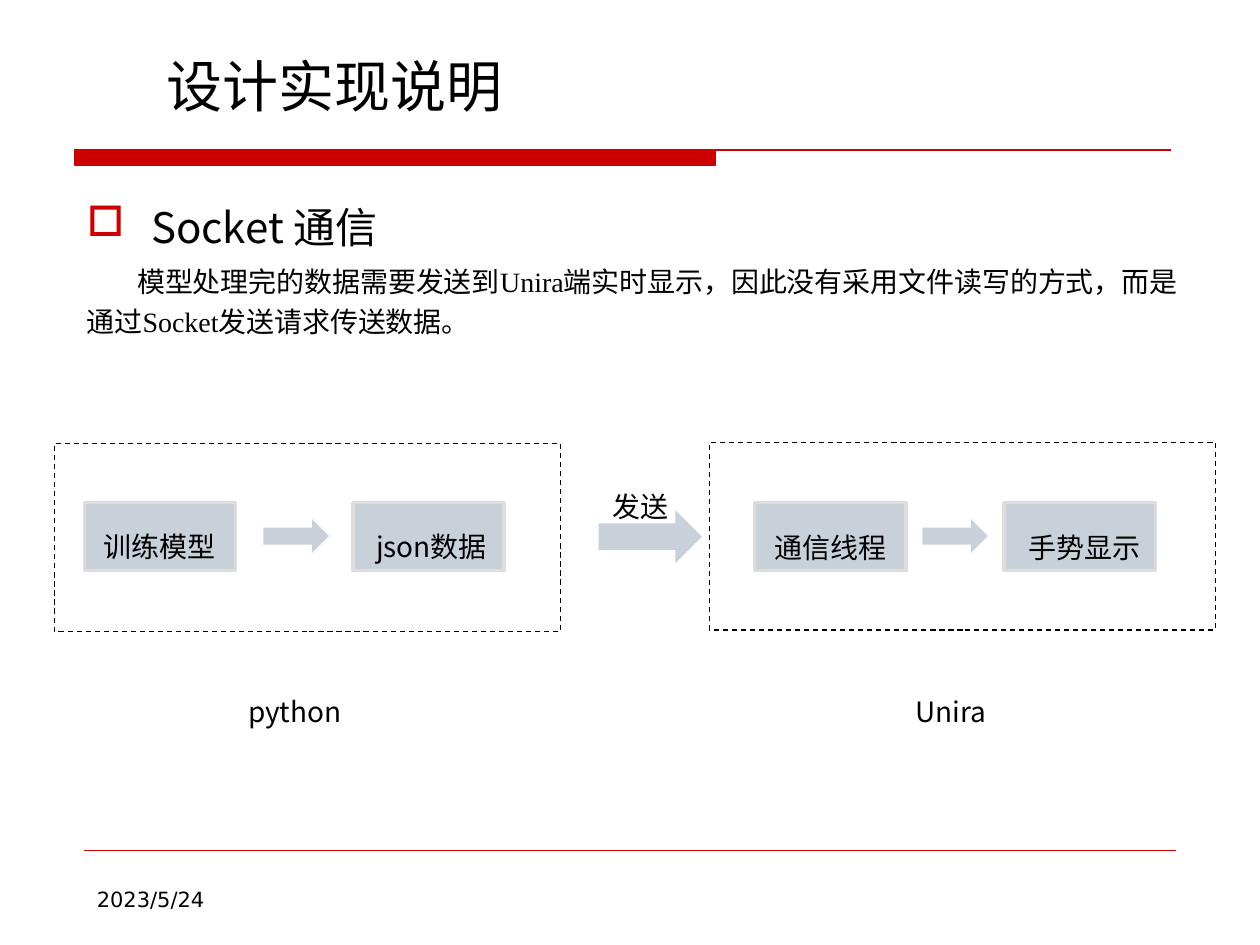
import pptx
import pptx.dml.color
import pptx.enum.dml
import pptx.enum.shapes
import pptx.enum.text
import pptx.oxml
import pptx.oxml.ns
import pptx.util
from pptx.util import Inches

COLORS = {"red": "CC0000", "text": "000000", "node": "C8D1DA", "edge": "DDDDDD"}
SANS, SERIF, PLAIN = "Noto Sans CJK SC", "Times New Roman", "DejaVu Sans"
SHAPES = pptx.enum.shapes.MSO_SHAPE
CENTER = pptx.enum.text.PP_ALIGN.CENTER


def color(name):
    return pptx.dml.color.RGBColor.from_string(COLORS[name])


def add_element(parent, tag, **attributes):
    element = pptx.oxml.parse_xml(f"<{tag} {pptx.oxml.ns.nsdecls('a')}/>")
    for name, value in attributes.items():
        element.set(name, value)
    parent.append(element)
    return element


def style_paragraph(para, size, font, spacing=None, align=None):
    para.alignment = align
    para.line_spacing = spacing
    for span in para.runs:
        span.font.size = pptx.util.Pt(size)
        span.font.name = font
        span.font.color.rgb = color("text")


def add_text(slide, place, text, size=16, font=SANS, spacing=None, align=None):
    box = slide.shapes.add_textbox(*map(Inches, place))
    box.text_frame.word_wrap = True
    box.text_frame.text = text
    style_paragraph(box.text_frame.paragraphs[0], size, font, spacing, align)
    return box


def style_shape(shape, fill=None, line=None, width=0.75):
    shape.shadow.inherit = False
    if fill:
        shape.fill.solid()
        shape.fill.fore_color.rgb = color(fill)
    else:
        shape.fill.background()
    if line:
        shape.line.color.rgb = color(line)
        shape.line.width = pptx.util.Pt(width)
    else:
        shape.line.fill.background()


def add_shape(slide, kind, place, **style):
    shape = slide.shapes.add_shape(kind, *map(Inches, place))
    style_shape(shape, **style)
    return shape


def add_node(slide, left, label, label_place):
    add_shape(slide, SHAPES.RECTANGLE, (left, 3.99, 1.2, 0.54),
              fill="node", line="edge", width=2)
    add_text(slide, label_place, label, spacing=1.5, align=CENTER)


def add_arrow(slide, *place):
    add_shape(slide, SHAPES.RIGHT_ARROW, place, fill="node")


def add_frame(slide, left, top):
    frame = add_shape(slide, SHAPES.RECTANGLE, (left, top, 4.02, 1.49), line="text")
    frame.line.dash_style = pptx.enum.dml.MSO_LINE.DASH


def add_rules(slide):
    # Thick bar running out into a thin line below the title
    left, top, bar_right, bottom, right = map(Inches, (0.59, 1.19, 5.68, 1.31, 9.29))
    builder = slide.shapes.build_freeform(left, top)
    builder.add_line_segments([(bar_right, top), (bar_right, bottom), (left, bottom)])
    builder.move_to(left, top)
    builder.add_line_segments([(right, top)], close=False)
    style_shape(builder.convert_to_shape(), fill="red", line="red")

    # Footer line
    footer = slide.shapes.add_connector(
        pptx.enum.shapes.MSO_CONNECTOR.STRAIGHT,
        *map(Inches, (0.67, 6.75, 9.33, 6.75)))
    footer.line.color.rgb = color("red")
    footer.line.width = pptx.util.Pt(0.25)
    add_element(footer._element.spPr, "a:effectLst")


def add_body(slide):
    box = add_text(slide, (0.59, 1.47, 8.98, 1.42), "Socket 通信", 24, spacing=1.2)
    heading = box.text_frame.paragraphs[0]
    properties = heading._p.get_or_add_pPr()
    properties.set("marL", str(Inches(0.51)))
    properties.set("indent", str(Inches(-0.51)))
    bullet_color = add_element(properties, "a:buClr")
    add_element(bullet_color, "a:srgbClr", val=COLORS["red"])
    add_element(properties, "a:buChar", char="□")

    detail = box.text_frame.add_paragraph()
    detail.text = ("模型处理完的数据需要发送到Unira端实时显示，因此没有采用文件读写的方式，"
                   "而是通过Socket发送请求传送数据。")
    style_paragraph(detail, 16, SERIF, spacing=1.2)
    detail.space_before = pptx.util.Pt(3.2)
    detail._p.get_or_add_pPr().set("indent", str(Inches(0.4)))


def add_diagram(slide):
    # Sender side
    add_node(slide, 0.67, "训练模型", (0.68, 4.02, 1.17, 0.45))
    add_arrow(slide, 2.09, 4.12, 0.52, 0.27)
    add_node(slide, 2.8, "json数据", (2.84, 4.02, 1.17, 0.45))
    add_frame(slide, 0.43, 3.52)
    add_text(slide, (1.87, 5.33, 1.05, 0.46), "python", spacing=1.5)

    # Transfer
    add_arrow(slide, 4.75, 4.05, 0.82, 0.42)
    add_text(slide, (4.76, 3.7, 0.68, 0.46), "发送", spacing=1.5)

    # Receiver side
    add_node(slide, 5.99, "通信线程", (5.97, 4.03, 1.24, 0.45))
    add_arrow(slide, 7.32, 4.12, 0.52, 0.27)
    add_node(slide, 7.97, "手势显示", (7.99, 4.03, 1.24, 0.45))
    add_frame(slide, 5.63, 3.51)
    add_text(slide, (7.17, 5.33, 0.94, 0.46), "Unira", spacing=1.5)


def main():
    deck = pptx.Presentation()
    deck.slide_width, deck.slide_height = Inches(10), Inches(7.5)
    slide = deck.slides.add_slide(deck.slide_layouts[6])
    add_rules(slide)
    add_text(slide, (0.67, 6.99, 1.5, 0.29), "2023/5/24", 12, PLAIN)
    add_text(slide, (1.22, 0.36, 4.88, 0.82), "设计实现说明", 32, PLAIN)
    add_body(slide)
    add_diagram(slide)
    deck.save("out.pptx")


if __name__ == "__main__":
    main()
